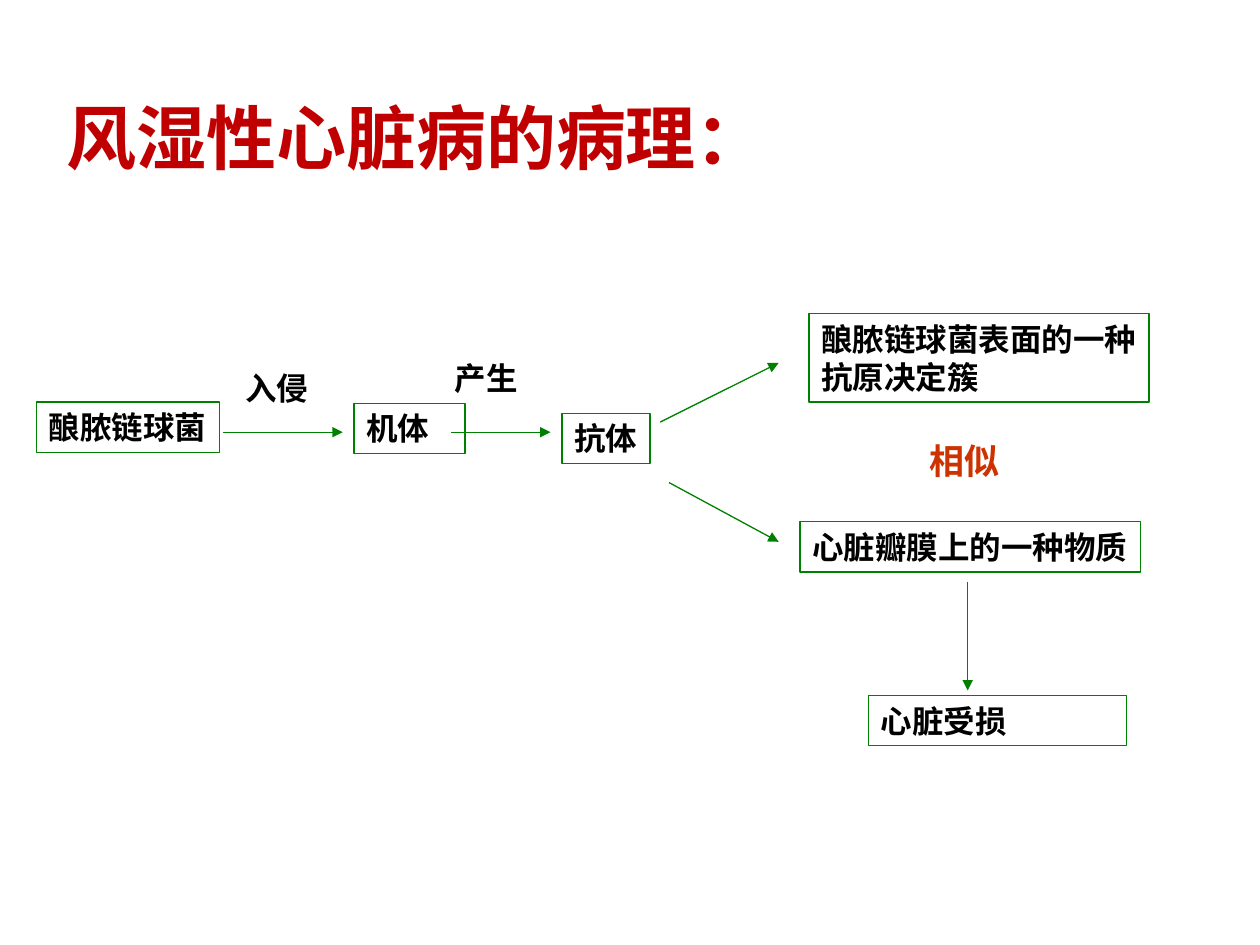
from lxml import etree
from pptx import Presentation
from pptx.dml.color import RGBColor
from pptx.enum.shapes import MSO_CONNECTOR, MSO_SHAPE
from pptx.enum.text import MSO_ANCHOR, PP_ALIGN
from pptx.oxml.ns import qn
from pptx.util import Inches, Pt

GREEN, BLACK, TITLE_RED, ORANGE = "008000", "000000", "C00000", "CC3300"


def rgb(color):
    return RGBColor.from_string(color)


def write(shape, text, size=18, color=BLACK, wrap=True):
    frame = shape.text_frame
    frame.word_wrap = wrap
    frame.vertical_anchor = MSO_ANCHOR.TOP
    paragraph = frame.paragraphs[0]
    paragraph.text = text
    paragraph.alignment = PP_ALIGN.LEFT
    font = paragraph.font
    font.name, font.size, font.bold = "Arial", Pt(size), True
    font.color.rgb = rgb(color)


def add_label(slide, box, text, **style):
    label = slide.shapes.add_textbox(*map(Inches, box))
    write(label, text, **style)


def add_step(slide, box, text, **style):
    step = slide.shapes.add_shape(MSO_SHAPE.RECTANGLE, *map(Inches, box))
    step.shadow.inherit = False
    step.fill.background()
    step.line.color.rgb = rgb(GREEN)
    step.line.width = Pt(0.75)
    write(step, text, **style)


def add_arrow(slide, start, end):
    arrow = slide.shapes.add_connector(
        MSO_CONNECTOR.STRAIGHT, *map(Inches, (*start, *end)))
    arrow.line.color.rgb = rgb(GREEN)
    arrow.line.width = Pt(0.75)
    etree.SubElement(arrow.line._get_or_add_ln(), qn("a:tailEnd"), type="triangle")
    etree.SubElement(arrow._element.spPr, qn("a:effectLst"))


def draw_invasion(slide, left, top):
    """Chain from the bacterium through the body to the antibody."""
    def at(x, y, *size):
        return (left + x, top + y, *size)

    add_step(slide, at(0, 0.39, 1.45, 0.4), "酿脓链球菌", wrap=False)
    add_arrow(slide, at(1.48, 0.63), at(2.43, 0.63))
    add_step(slide, at(2.52, 0.4, 0.88, 0.4), "机体")
    add_label(slide, at(1.56, 0.08, 0.7, 0.4), "入侵", wrap=False)
    add_arrow(slide, at(3.29, 0.63), at(4.08, 0.63))
    add_label(slide, at(3.22, 0, 0.94, 0.4), "产生")
    add_step(slide, at(4.17, 0.48, 0.7, 0.4), "抗体", wrap=False)


def draw_targets(slide, left, top):
    """The two similar targets of the antibody, and the damage that follows."""
    def at(x, y, *size):
        return (left + x, top + y, *size)

    add_arrow(slide, at(0, 0.86), at(0.94, 0.39))
    add_step(slide, at(1.18, 0, 2.7, 0.7), "酿脓链球菌表面的一种抗原决定簇")
    add_arrow(slide, at(0.07, 1.34), at(0.94, 1.81))
    add_step(slide, at(1.11, 1.65, 2.7, 0.4), "心脏瓣膜上的一种物质", wrap=False)
    add_arrow(slide, at(2.44, 2.13), at(2.44, 2.99))
    add_step(slide, at(1.65, 3.03, 2.05, 0.4), "心脏受损")
    add_label(slide, at(2.04, 0.95, 1.26, 0.44), "相似", size=20, color=ORANGE)


def main():
    presentation = Presentation()
    presentation.slide_width, presentation.slide_height = Inches(10), Inches(7.5)
    slide = presentation.slides.add_slide(presentation.slide_layouts[6])
    add_label(slide, (0.43, 0.7, 5.75, 0.77), "风湿性心脏病的病理：",
              size=40, color=TITLE_RED, wrap=False)
    draw_invasion(slide, left=0.29, top=2.8)
    draw_targets(slide, left=5.24, top=2.49)
    presentation.save("out.pptx")


if __name__ == "__main__":
    main()
